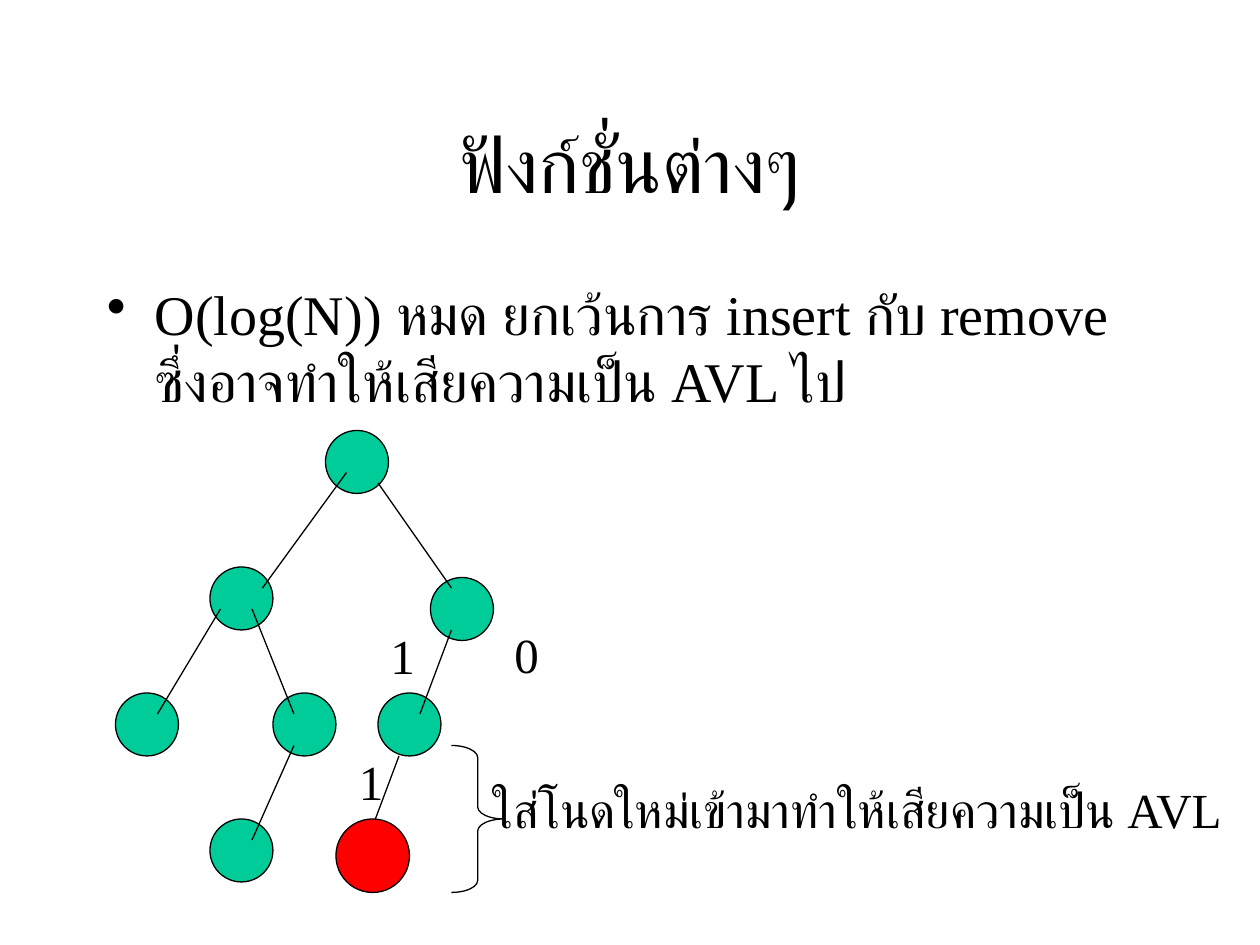
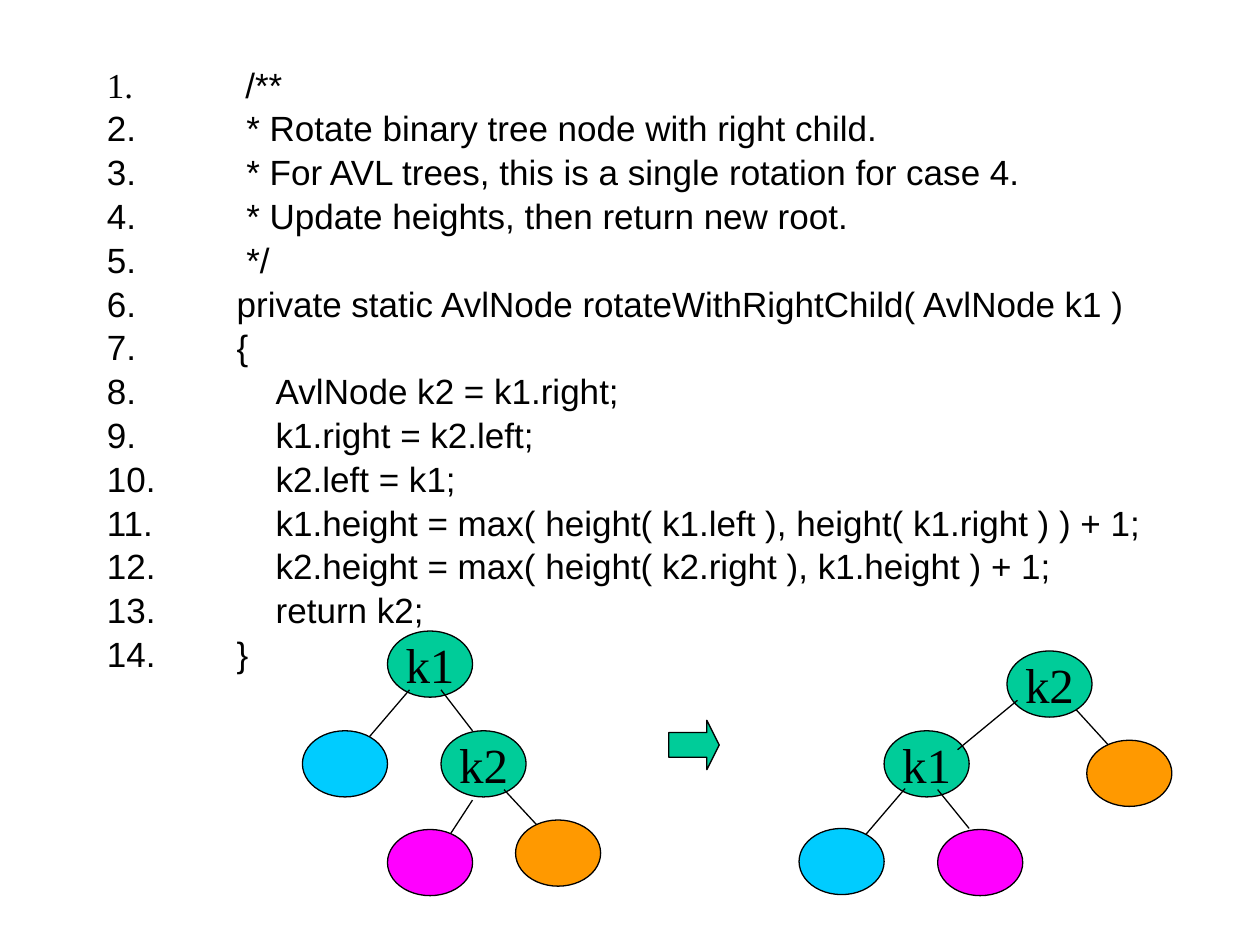
from collections import namedtuple
from dataclasses import dataclass

from lxml import etree
from pptx import Presentation
from pptx.dml.color import RGBColor
from pptx.enum.shapes import MSO_CONNECTOR, MSO_SHAPE
from pptx.enum.text import MSO_ANCHOR, MSO_AUTO_SIZE, PP_ALIGN
from pptx.oxml.ns import qn
from pptx.util import Inches, Pt

STRAIGHT = MSO_CONNECTOR.STRAIGHT
ELLIPSE, BRACE, ARROW = MSO_SHAPE.OVAL, MSO_SHAPE.RIGHT_BRACE, MSO_SHAPE.RIGHT_ARROW
LEFT, CENTER = PP_ALIGN.LEFT, PP_ALIGN.CENTER
TOP, MIDDLE = MSO_ANCHOR.TOP, MSO_ANCHOR.MIDDLE
FIT_SHAPE, NO_FIT = MSO_AUTO_SIZE.SHAPE_TO_FIT_TEXT, MSO_AUTO_SIZE.NONE

# The grid has 120 columns and 90 rows, each a twelfth of an inch
COLUMNS, ROWS = 120, 90
UNIT = Inches(1) // 12


@dataclass(frozen=True)
class Theme:
    serif: str = "Times New Roman"
    sans: str = "Arial"
    ink: str = "000000"
    node: str = "00CC99"
    new_node: str = "FF0000"
    subtree_a: str = "00CCFF"
    subtree_b: str = "FF00FF"
    subtree_c: str = "FF9900"
    title_size: int = 44
    body_size: int = 32
    label_size: int = 28
    code_size: int = 20
    line_width: float = 0.75


THEME = Theme()
Box = namedtuple("Box", "left top width height")
Node = namedtuple("Node", "left top fill label", defaults=(THEME.node, ""))
Edge = namedtuple("Edge", "x1 y1 x2 y2")


def grid(*lengths):
    return [round(length * UNIT) for length in lengths]


def within(box, left, top, width, height):
    return Box(box.left + left, box.top + top, width, height)


# Text
def write(frame, text, size=THEME.label_size, font=THEME.serif, align=LEFT,
          anchor=TOP, wrap=False, fit=NO_FIT):
    frame.word_wrap, frame.auto_size, frame.vertical_anchor = wrap, fit, anchor
    para = frame.paragraphs[0]
    para.alignment = align
    add_span(para, text, size, font)
    return para


def add_span(para, text, size, font):
    span = para.add_run()
    span.text = text
    span.font.size = Pt(size)
    span.font.name = font
    span.font.color.rgb = RGBColor.from_string(THEME.ink)
    for tag in ("a:ea", "a:cs"):
        etree.SubElement(span.font._element, qn(tag)).set("typeface", font)


def add_text(page, box, text, **form):
    return write(page.shapes.add_textbox(*grid(*box)).text_frame, text, **form)


def set_marker(para, indent, tag, **values):
    props = para._p.get_or_add_pPr()
    props.set("marL", str(Inches(indent)))
    props.set("indent", str(-Inches(indent)))
    marker = etree.SubElement(props, qn(tag))
    for key, value in values.items():
        marker.set(key, value)


# Outlined shapes and lines
def outline(line):
    line.color.rgb = RGBColor.from_string(THEME.ink)
    line.width = Pt(THEME.line_width)


def add_shape(page, kind, box, fill=None, adjustments=()):
    shape = page.shapes.add_shape(kind, *grid(*box))
    shape.shadow.inherit = False
    if fill:
        shape.fill.solid()
        shape.fill.fore_color.rgb = RGBColor.from_string(fill)
    else:
        shape.fill.background()
    outline(shape.line)
    for index, value in enumerate(adjustments):
        shape.adjustments[index] = value
    return shape


def draw_tree(page, box, parts, node_width, node_height):
    for part in parts:
        if isinstance(part, Edge):
            ends = (box.left + part.x1, box.top + part.y1,
                    box.left + part.x2, box.top + part.y2)
            edge = page.shapes.add_connector(STRAIGHT, *grid(*ends))
            outline(edge.line)
            etree.SubElement(edge._element.spPr, qn("a:effectLst"))
        else:
            place = within(box, part.left, part.top, node_width, node_height)
            node = add_shape(page, ELLIPSE, place, part.fill)
            if part.label:
                write(node.text_frame, part.label, align=CENTER, anchor=MIDDLE)


# Slide 1: inserting a node breaks the balance
BALANCED_TREE = [
    Node(20, 0), Node(9, 13), Node(0, 25), Node(30, 14),
    Node(15, 25), Node(25, 25), Node(9, 37),
    Edge(22, 4, 14, 15), Edge(25, 5, 32, 15), Edge(32, 19, 29, 27),
    Edge(13, 17, 17, 27), Edge(10, 17, 4, 27), Edge(17, 30, 13, 39),
    Edge(27, 31, 24, 39),
]
TREE_LABELS = [
    (34.7, 32.6, 72.6, "ใส่โนดใหม่เข้ามาทำให้เสียความเป็น AVL"),
    (36.8, 17.9, 4.7, "0"),
    (22, 30, 4.7, "1"),
    (25, 18, 4.7, "1"),
]


def draw_insertion(page, box):
    draw_tree(page, box, BALANCED_TREE, 6, 6)
    add_shape(page, ELLIPSE, within(box, 21, 37, 7, 7), THEME.new_node)
    add_shape(page, BRACE, within(box, 32, 30, 5, 14), adjustments=(0.23, 0.5))
    for left, top, width, text in TREE_LABELS:
        add_text(page, within(box, left, top, width, 6.8), text, fit=FIT_SHAPE)


def build_functions_slide(page):
    add_text(page, Box(9, 8, 102, 15), "ฟังก์ชั่นต่างๆ", size=THEME.title_size,
             align=CENTER, anchor=MIDDLE, wrap=True)
    para = add_text(
        page, Box(9, 26, 102, 54),
        "O(log(N)) หมด ยกเว้นการ insert กับ remove ซึ่งอาจทำให้เสียความเป็น AVL ไป",
        size=THEME.body_size, wrap=True)
    para.space_before = Pt(8)
    set_marker(para, 0.38, "a:buChar", char="•")
    draw_insertion(page, Box(11, 41, 107, 44))


# Slide 2: single rotation, as code and as trees
OUTER, INNER = 1.03, 1.34
CODE = [
    (OUTER, "/**"),
    (OUTER, " * Rotate binary tree node with right child."),
    (OUTER, " * For AVL trees, this is a single rotation for case 4."),
    (OUTER, " * Update heights, then return new root."),
    (OUTER, " */"),
    (OUTER, "private static AvlNode rotateWithRightChild( AvlNode k1 )"),
    (OUTER, "{"),
    (INNER, "AvlNode k2 = k1.right;"),
    (INNER, "k1.right = k2.left;"),
    (INNER, "k2.left = k1;"),
    (INNER, "k1.height = max( height( k1.left ), height( k1.right ) ) + 1;"),
    (INNER, "k2.height = max( height( k2.right ), k1.height ) + 1;"),
    (INNER, "return k2;"),
    (OUTER, "}"),
]
TREE_BEFORE = [
    Node(8.1, 0, label="k1"), Edge(13.2, 5.6, 16.2, 9.5),
    Node(13.2, 9.5, label="k2"), Edge(19.2, 15.1, 24.4, 20.7),
    Node(20.3, 18, THEME.subtree_c), Edge(16.2, 16.1, 13.2, 20.7),
    Node(8.1, 18.9, THEME.subtree_b), Edge(10.2, 5.6, 6.1, 10.4),
    Node(0, 9.5, THEME.subtree_a),
]
TREE_AFTER = [
    Node(8.1, 7.6, label="k1"), Edge(13.2, 13.2, 16.2, 16.9),
    Node(19.8, 0, label="k2"), Edge(26.4, 5.6, 31.6, 11.3),
    Node(27.4, 8.5, THEME.subtree_c), Edge(20.8, 4.7, 15.1, 9.4),
    Node(13.2, 17, THEME.subtree_b), Edge(10.1, 13.1, 6, 17.9),
    Node(0, 16.9, THEME.subtree_a),
]


def draw_code(page, box):
    frame = page.shapes.add_textbox(*grid(*box)).text_frame
    frame.word_wrap = True
    for index, (indent, text) in enumerate(CODE):
        para = frame.add_paragraph() if index else frame.paragraphs[0]
        para.line_spacing = 0.8
        para.space_before = Pt(5.8)
        set_marker(para, indent, "a:buAutoNum", type="arabicPeriod")
        if index == 0:
            # The first number takes the serif face of this span
            add_span(para, " ", THEME.code_size, THEME.serif)
        add_span(para, text, THEME.code_size, THEME.sans)


def build_rotation_slide(page):
    draw_code(page, Box(9, 6.2, 102, 73.8))
    for box, tree in ((Box(28.8, 60.1, 28.4, 25.3), TREE_BEFORE),
                      (Box(76.1, 62, 35.5, 23.3), TREE_AFTER)):
        draw_tree(page, box, tree, 8.1, 6.3)
    add_shape(page, ARROW, Box(63.7, 68.6, 4.8, 4.7), THEME.node, (0.5, 0.25))


def main():
    deck = Presentation()
    deck.slide_width, deck.slide_height = grid(COLUMNS, ROWS)
    blank = deck.slide_layouts[6]
    for build in (build_functions_slide, build_rotation_slide):
        build(deck.slides.add_slide(blank))
    deck.save("out.pptx")


if __name__ == "__main__":
    main()
